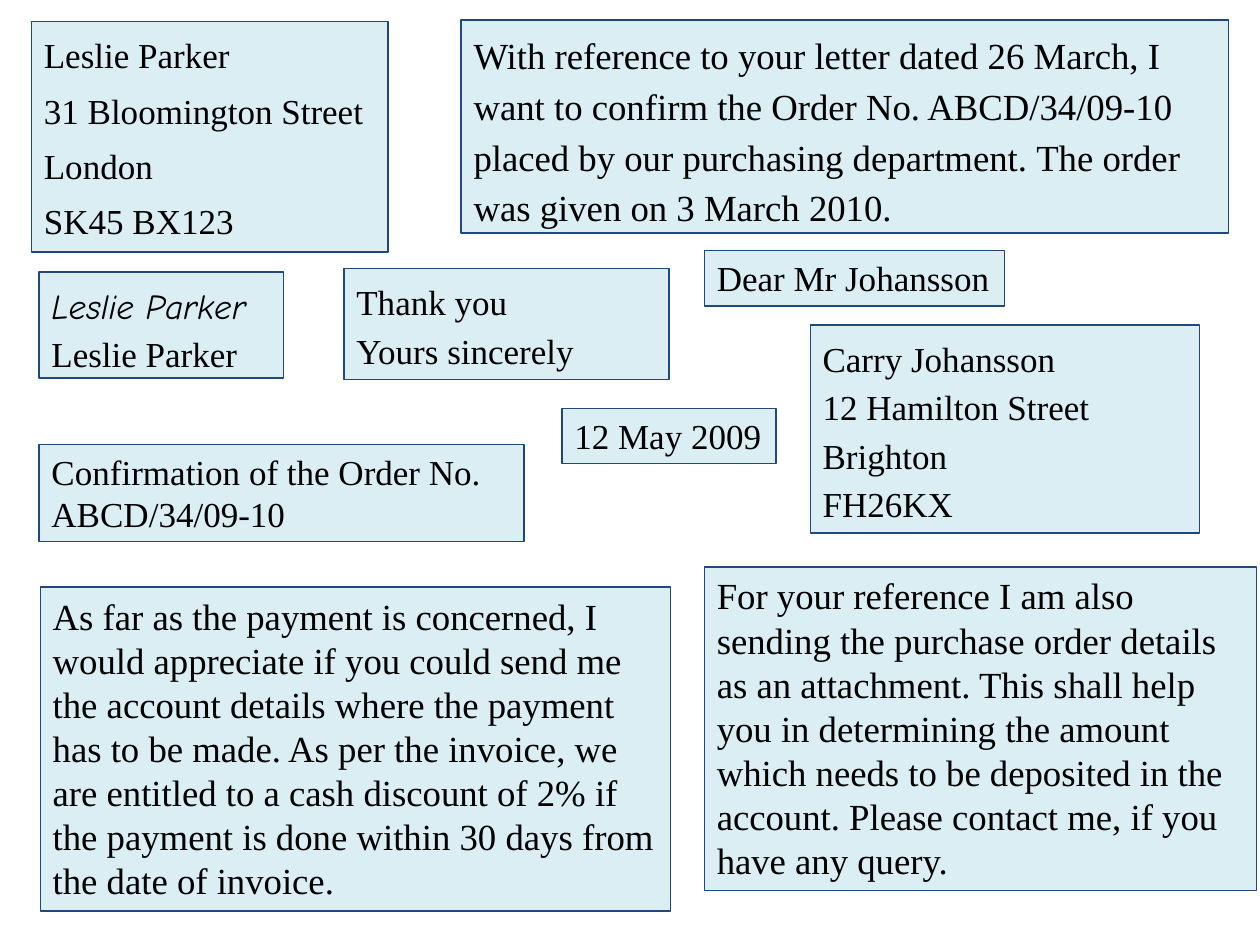
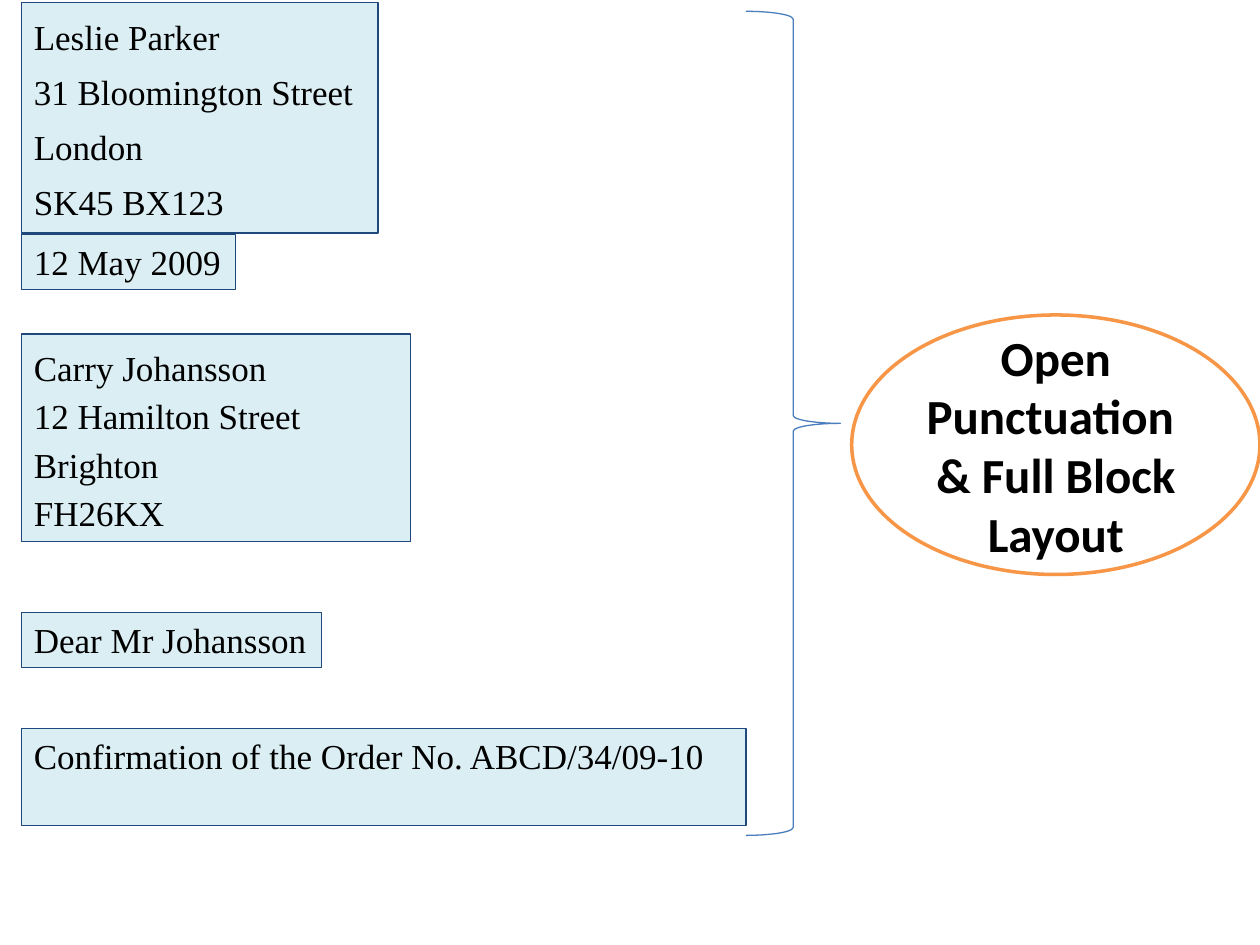
from pptx import Presentation
from pptx.dml.color import RGBColor
from pptx.enum.shapes import MSO_SHAPE
from pptx.enum.text import MSO_ANCHOR, PP_ALIGN
from pptx.util import Inches, Pt

RECTANGLE, OVAL, BRACE = MSO_SHAPE.RECTANGLE, MSO_SHAPE.OVAL, MSO_SHAPE.RIGHT_BRACE
TOP, MIDDLE = MSO_ANCHOR.TOP, MSO_ANCHOR.MIDDLE
LEFT, CENTER = PP_ALIGN.LEFT, PP_ALIGN.CENTER

BLACK = RGBColor(0x00, 0x00, 0x00)
WHITE = RGBColor(0xFF, 0xFF, 0xFF)
PALE_BLUE = RGBColor(0xDB, 0xEE, 0xF4)
NAVY = RGBColor(0x1F, 0x49, 0x7D)
BLUE = RGBColor(0x4B, 0x7E, 0xBC)
ORANGE = RGBColor(0xF7, 0x96, 0x46)

LETTER_FONT = "Times New Roman"
SIGNATURE_FONT = "Comic Neue"
LABEL_FONT = "Calibri"

# Parts of the letter: lines, width, height, and text settings
SENDER = (["Leslie Parker", "31 Bloomington Street", "London", "SK45 BX123"],
          2.83, 1.83, {"spacing": 1.15, "before": 4})
DATE = (["12 May 2009"], 1.7, 0.44, {"wrap": False})
RECIPIENT = (["Carry Johansson", "12 Hamilton Street", "Brighton", "FH26KX"],
             3.09, 1.65, {"spacing": 1.15})
SALUTATION = (["Dear Mr Johansson"], 2.38, 0.44, {"wrap": False})
SUBJECT = ["Confirmation of the Order No. ABCD/34/09-10"]
REFERENCE = (["With reference to your letter dated 26 March, I want to confirm "
              "the Order No. ABCD/34/09-10 placed by our purchasing department."
              "\u00a0The order was given on 3 March 2010."],
             6.09, 1.69, {"size": 21, "spacing": 1.15})
PAYMENT = (["As far as the payment is concerned, I would appreciate if you could "
            "send me the account details where the payment has to be made. As per "
            "the invoice, we are entitled to a cash discount of 2% if the payment "
            "is done within 30 days from the date of invoice."],
           5, 2.57, {"size": 21})
ATTACHMENT = (["For your reference I am also sending the purchase order details as "
               "an attachment. This shall help you in determining the amount which "
               "needs to be deposited in the account. Please contact me, if you "
               "have any query."],
              4.38, 2.57, {"size": 21})
CLOSING = (["Thank you", "Yours sincerely"], 2.58, 0.88, {"spacing": 1.15})
SIGNATURE = (["Leslie Parker", "Leslie Parker"], 1.94, 0.84, {"spacing": 1.15})


def add_outline(page, kind, left, top, width, height, fill, line, weight=0.75):
    """Add a preset shape without shadow; a fill of None leaves it open."""
    shape = page.shapes.add_shape(kind, Inches(left), Inches(top),
                                  Inches(width), Inches(height))
    shape.shadow.inherit = False
    if fill is None:
        shape.fill.background()
    else:
        shape.fill.solid()
        shape.fill.fore_color.rgb = fill
    shape.line.color.rgb = line
    shape.line.width = Pt(weight)
    return shape


def write_lines(shape, lines, size=20, font=LETTER_FONT, bold=False, spacing=1.0,
                before=0, wrap=True, align=LEFT, anchor=TOP):
    """Write one paragraph per line into the shape."""
    frame = shape.text_frame
    frame.word_wrap = wrap
    frame.vertical_anchor = anchor
    frame.text = "\n".join(lines)
    for para in frame.paragraphs:
        para.alignment = align
        para.line_spacing = spacing
        para.space_before = Pt(before)
        para.font.name = font
        para.font.size = Pt(size)
        para.font.bold = bold
        para.font.color.rgb = BLACK


deck = Presentation()
deck.slide_width, deck.slide_height = Inches(10), Inches(7.5)
blank = deck.slide_layouts[6]

# Slide 1 scatters the parts of the letter, slide 2 stacks its head at the left
MARGIN = 0.17
scattered = [
    (0.25, 0.17, SENDER),
    (2.73, 2.13, CLOSING),
    (3.66, 0.16, REFERENCE),
    (4.46, 3.24, DATE),
    (0.32, 4.66, PAYMENT),
    (5.59, 1.99, SALUTATION),
    (5.59, 4.5, ATTACHMENT),
    (0.31, 2.16, SIGNATURE),
    (0.31, 3.53, (SUBJECT, 3.85, 0.77, {})),
    (6.43, 2.58, RECIPIENT),
]
stacked = [
    (MARGIN, 0.02, SENDER),
    (MARGIN, 1.86, DATE),
    (MARGIN, 4.86, SALUTATION),
    (MARGIN, 5.78, (SUBJECT, 5.75, 0.77, {})),
    (MARGIN, 2.65, RECIPIENT),
]

for placements in (scattered, stacked):
    page = deck.slides.add_slide(blank)
    for left, top, part in placements:
        lines, width, height, settings = part
        box = add_outline(page, RECTANGLE, left, top, width, height, PALE_BLUE, NAVY)
        write_lines(box, lines, **settings)
        if part is SIGNATURE:
            handwriting = box.text_frame.paragraphs[0].font
            handwriting.name = SIGNATURE_FONT
            handwriting.italic = True

# Slide 2: the brace and the name of the layout
label = add_outline(page, OVAL, 6.76, 2.5, 3.24, 2.06, WHITE, ORANGE, 2)
write_lines(label, ["Open Punctuation ", "& Full Block Layout"], size=28,
            font=LABEL_FONT, bold=True, align=CENTER, anchor=MIDDLE)
add_outline(page, BRACE, 5.92, 0.09, 0.75, 6.54, None, BLUE)

deck.save("out.pptx")
